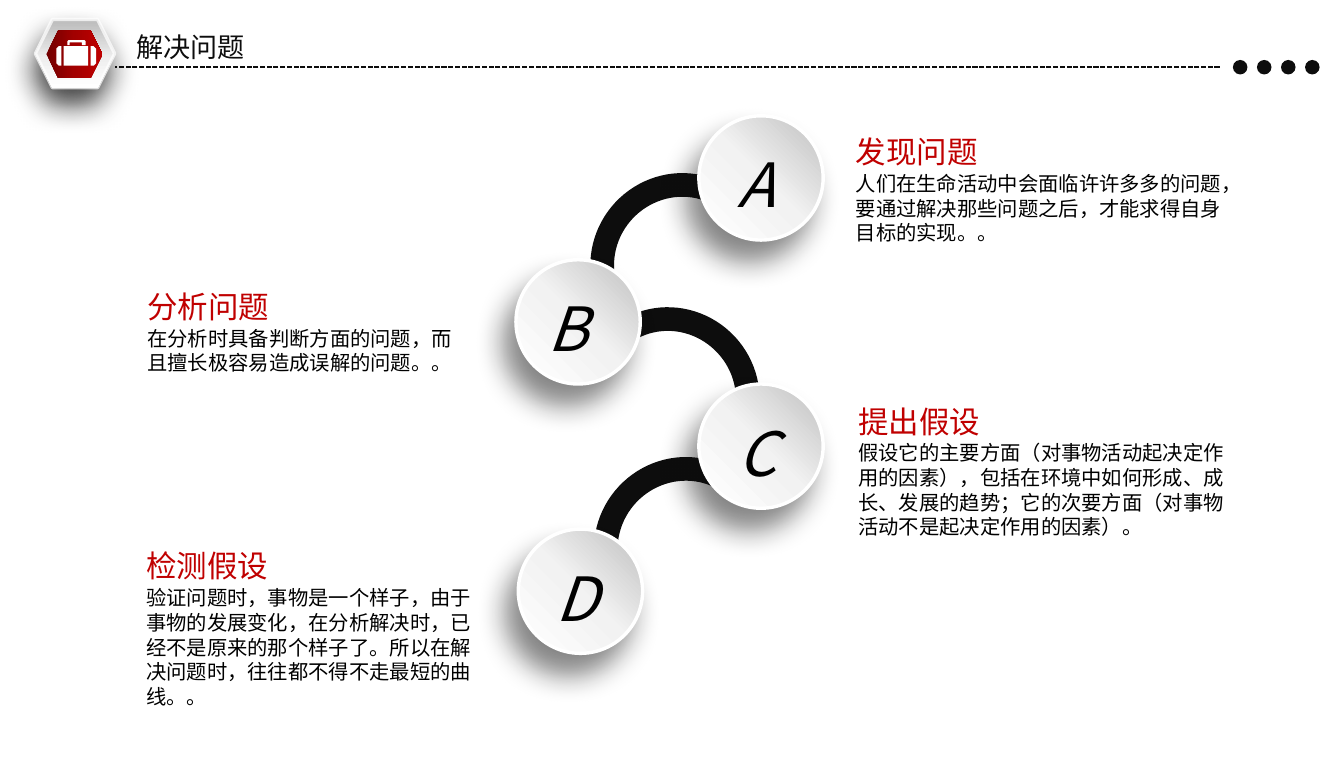
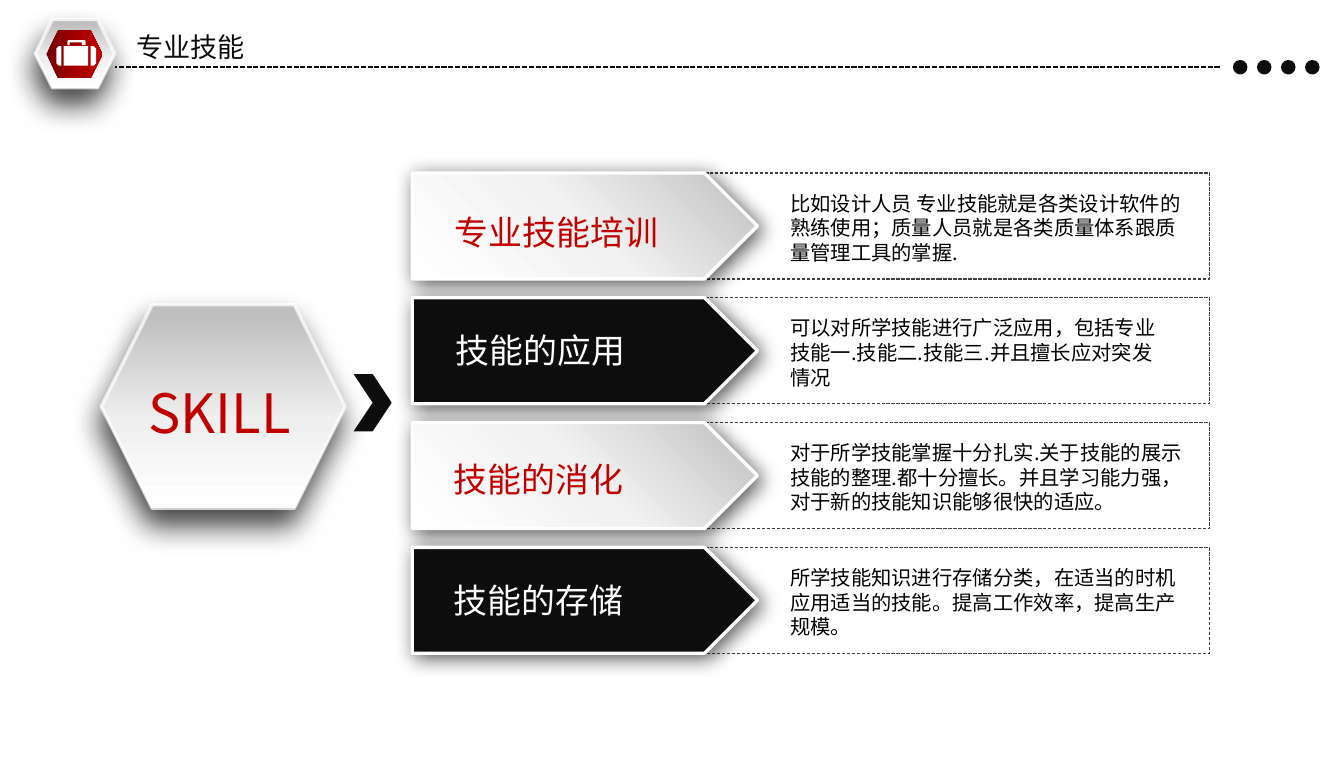
from copy import deepcopy
from pptx import Presentation
from pptx.dml.color import RGBColor as RGB
from pptx.enum.dml import MSO_LINE
from pptx.enum.shapes import MSO_CONNECTOR as LINK, MSO_SHAPE as KIND
from pptx.enum.text import MSO_ANCHOR as ANCHOR
from pptx.oxml.ns import qn
from pptx.oxml.xmlchemy import OxmlElement as new_tag
from pptx.util import Pt

COLORS = {
    "ink": "0D0D0D", "black": "000000", "white": "FFFFFF", "red": "C00000",
    "frame": "404040", "silver": "BFBFBF", "pearl": "F2F2F2",
    "mist": "EFEFEF", "maroon": "720000", "crimson": "A20000",
}
FONT = "Noto Sans CJK SC"
LINE_HEIGHT = 1.21
BASELINE_DROP = 0.08

# Gradients: angle (counterclockwise) and stops
SPHERE = (225, [(0, "silver"), (0.5, "pearl"), (1, "white")])
PLATE = (270, [(0.05, "silver"), (0.57, "mist"), (1, "white")])
RUBY = (0, [(0, "maroon"), (0.5, "crimson"), (1, "red")])

# Shadows: colour, opacity, blur, distance, direction
SPHERE_SHADOW = ("ink", 50, 17, 14, 120)
PLATE_SHADOW = ("ink", 76, 17, 10, 100)
ARROW_SHADOW = ("black", 63, 12, 3, 45)

# Text formats
TITLE = {"size": 16, "color": "ink"}
HEADING = {"size": 18, "color": "red"}
BODY = {"size": 12, "color": "black"}
LETTER = {"size": 36, "color": "black", "italic": True}
SKILL = {"size": 32, "color": "red"}

# Briefcase outlines, relative to its own corner
BRIEFCASE = [
    [(7.9, 2.9), (6.5, 2.9), (6.5, 0.7), (7.2, 0), (16.6, 0), (17.3, 0.7),
     (17.3, 2.9), (15.1, 2.9), (15.1, 1.4), (7.9, 1.4)],
    [(0, 5), (1.4, 3.6), (2.9, 3.6), (2.9, 15.1), (1.4, 15.1), (0, 13.7)],
    [(4.3, 3.6), (18.7, 3.6), (18.7, 15.1), (4.3, 15.1)],
    [(20.2, 3.6), (22, 3.6), (23.4, 5), (23.4, 13.7), (22, 15.1), (20.2, 15.1)],
]

# Circles: letter, left, top, left offset of the letter
CIRCLE = 73.4
STEPS = [("A", 412.6, 68.4, 16), ("B", 304.6, 153.4, 11.5),
         ("C", 412.6, 226.8, 16), ("D", 306, 312.5, 15)]

# Arcs: left, top, mirrored
ARCS = [(349.9, 270.7, False), (342, 182.2, True), (347.8, 103, False)]

SECTIONS = [
    (498.2, 73.4, "发现问题", [
        "人们在生命活动中会面临许许多多的问题，",
        "要通过解决那些问题之后，才能求得自身",
        "目标的实现。。"]),
    (79.9, 164.9, "分析问题", [
        "在分析时具备判断方面的问题，而",
        "且擅长极容易造成误解的问题。。"]),
    (499.7, 232.6, "提出假设", [
        "假设它的主要方面（对事物活动起决定作",
        "用的因素），包括在环境中如何形成、成",
        "长、发展的趋势；它的次要方面（对事物",
        "活动不是起决定作用的因素）。"]),
    (79.2, 318.2, "检测假设", [
        "验证问题时，事物是一个样子，由于",
        "事物的发展变化，在分析解决时，已",
        "经不是原来的那个样子了。所以在解",
        "决问题时，往往都不得不走最短的曲",
        "线。。"]),
]

# Rows: label, its left and top offsets, description
ROWS = [
    ("专业技能培训", 18, 17.3, [
        "比如设计人员 专业技能就是各类设计软件的",
        "熟练使用；质量人员就是各类质量体系跟质",
        "量管理工具的掌握."]),
    ("技能的应用", 18.7, 13.7, [
        "可以对所学技能进行广泛应用，包括专业",
        "技能一.技能二.技能三.并且擅长应对突发",
        "情况"]),
    ("技能的消化", 17.3, 15.8, [
        "对于所学技能掌握十分扎实.关于技能的展示",
        "技能的整理.都十分擅长。并且学习能力强，",
        "对于新的技能知识能够很快的适应。"]),
    ("技能的存储", 17.3, 13.7, [
        "所学技能知识进行存储分类，在适当的时机",
        "应用适当的技能。提高工作效率，提高生产",
        "规模。"]),
]


def rgb(name):
    return RGB.from_string(COLORS[name])


def paint(shape, fill):
    """Fill with a colour name, a gradient or nothing."""
    if fill is None:
        shape.fill.background()
    elif isinstance(fill, str):
        shape.fill.solid()
        shape.fill.fore_color.rgb = rgb(fill)
    else:
        angle, stops = fill
        shape.fill.gradient()
        shape.fill.gradient_angle = angle
        stop_list = shape.element.spPr.find(".//" + qn("a:gsLst"))
        stop_list.append(deepcopy(stop_list[0]))
        for stop, (position, color) in zip(shape.fill.gradient_stops, stops):
            stop.position = position
            stop.color.rgb = rgb(color)


def add_color_alpha(color_tag, percent):
    alpha = new_tag("a:alpha")
    alpha.set("val", str(percent * 1000))
    color_tag.append(alpha)


def outline(line, color, width, dash=None):
    line.color.rgb = rgb(color)
    line.width = Pt(width)
    if dash:
        line.dash_style = dash


def cast_shadow(shape, shadow):
    color, opacity, blur, distance, direction = shadow
    outer = new_tag("a:outerShdw")
    values = {"blurRad": Pt(blur), "dist": Pt(distance),
              "dir": direction * 60000, "algn": "ctr", "rotWithShape": 0}
    for key, value in values.items():
        outer.set(key, str(value))
    tint = new_tag("a:srgbClr")
    tint.set("val", COLORS[color])
    add_color_alpha(tint, opacity)
    outer.append(tint)
    shape.element.spPr.find(qn("a:effectLst")).append(outer)


def add_shape(page, kind, box, fill, line=None, shadow=None):
    shape = page.shapes.add_shape(kind, *map(Pt, box))
    shape.shadow.inherit = False
    paint(shape, fill)
    if line:
        outline(shape.line, *line)
    else:
        shape.line.fill.background()
    if shadow:
        cast_shadow(shape, shadow)
    return shape


def add_text(page, left, top, width, lines, style):
    size = style["size"]
    pitch = size * LINE_HEIGHT
    box = page.shapes.add_textbox(
        Pt(left), Pt(top), Pt(width), Pt(len(lines) * pitch + 7.2))
    frame = box.text_frame
    settings = {"word_wrap": True, "vertical_anchor": ANCHOR.TOP,
                "margin_left": Pt(7.2), "margin_right": Pt(0),
                "margin_top": Pt(3.6 + size * BASELINE_DROP), "margin_bottom": Pt(0)}
    for key, value in settings.items():
        setattr(frame, key, value)
    for index, line in enumerate(lines):
        para = frame.add_paragraph() if index else frame.paragraphs[0]
        para.line_spacing = Pt(pitch)
        span = para.add_run()
        span.text = line
        font = {"name": FONT, "size": Pt(size), "italic": style.get("italic", False)}
        for key, value in font.items():
            setattr(span.font, key, value)
        span.font.color.rgb = rgb(style["color"])
        east_asian = new_tag("a:ea")
        east_asian.set("typeface", FONT)
        span.font._element.find(qn("a:latin")).addnext(east_asian)


def add_plate(page, box):
    """Raised silver hexagon with a translucent rim."""
    plate = add_shape(page, KIND.HEXAGON, box, PLATE, ("white", 2), PLATE_SHADOW)
    add_color_alpha(plate.element.spPr.find(qn("a:ln")).find(".//" + qn("a:srgbClr")), 73)


def add_badge(page, left, top):
    add_plate(page, (left, top, 46.8, 40.3))
    add_shape(page, KIND.HEXAGON, (left + 6.5, top + 6.5, 33.1, 28.1), RUBY)
    # Briefcase
    builder = None
    for points in BRIEFCASE:
        (x, y), *rest = [(Pt(px), Pt(py)) for px, py in points]
        if builder is None:
            builder = page.shapes.build_freeform(x, y, scale=1.0)
        else:
            builder.move_to(x, y)
        builder.add_line_segments(rest, close=True)
    case = builder.convert_to_shape(Pt(left + 12.4), Pt(top + 12.2))
    case.shadow.inherit = False
    paint(case, "white")
    case.line.fill.background()


def add_header(page, title):
    # Dashed rule
    rule = page.shapes.add_connector(
        LINK.STRAIGHT, Pt(720), Pt(39.6), Pt(67.7), Pt(39.6))
    outline(rule.line, "ink", 1, MSO_LINE.SQUARE_DOT)
    rule.element.spPr.append(new_tag("a:effectLst"))
    add_text(page, 73.4, 13, 200, [title], TITLE)
    # Dots
    for index in range(4):
        add_shape(page, KIND.OVAL, (727.9 + 14.2 * index, 35.4, 8.6, 8.6), "ink")
    add_badge(page, 20.9, 11.5)


def add_arc(page, left, top, mirrored):
    arc = add_shape(page, KIND.BLOCK_ARC, (left, top, 107.3, 104.4), "ink")
    for index, value in enumerate((108, 1.726, 0.134)):
        arc.adjustments[index] = value
    arc.rotation = 46.8 if mirrored else 313.2
    if mirrored:
        arc.element.spPr.find(qn("a:xfrm")).set("flipH", "1")


def add_section(page, left, top, heading, lines):
    add_text(page, left, top + 23, 260, lines, BODY)
    add_text(page, left, top, 120, [heading], HEADING)


def add_row(page, left, top, dark, label, label_left, label_top, lines):
    fill, color = ("ink", "white") if dark else (SPHERE, "red")
    add_shape(page, KIND.PENTAGON, (left, top, 203.8, 62.6), fill,
              ("white", 2), ARROW_SHADOW)
    add_text(page, left + label_left, top + label_top, 160, [label],
             {"size": 20, "color": color})
    add_text(page, left + 216, top + 5.8, 290, lines, BODY)


def build_problem_page(page):
    for arc in ARCS:
        add_arc(page, *arc)
    add_header(page, "解决问题")
    for letter, left, top, indent in STEPS:
        add_shape(page, KIND.OVAL, (left, top, CIRCLE, CIRCLE), SPHERE,
                  ("white", 2), SPHERE_SHADOW)
        add_text(page, left + indent, top + 11.5, 50, [letter], LETTER)
    for section in SECTIONS:
        add_section(page, *section)


def build_skill_page(page):
    tops = [102.2 + 73.7 * index for index in range(len(ROWS))]
    # Dashed frames behind the arrows
    for top in tops:
        add_shape(page, KIND.RECTANGLE, (396, top, 318.2, 62.6), None,
                  ("frame", 0.75, MSO_LINE.SQUARE_DOT))
    add_header(page, "专业技能")
    # Hexagon and chevron
    add_shape(page, KIND.CHEVRON, (208.8, 221, 22.5, 33.8), "ink")
    add_plate(page, (59.8, 180, 144, 120.2))
    add_text(page, 80.6, 217.4, 115, ["SKILL"], SKILL)
    for index, (top, row) in enumerate(zip(tops, ROWS)):
        add_row(page, 243.4, top, index % 2 == 1, *row)


def main():
    deck = Presentation()
    deck.slide_width, deck.slide_height = Pt(793.5), Pt(453.6)
    for build in (build_problem_page, build_skill_page):
        build(deck.slides.add_slide(deck.slide_layouts[6]))
    deck.save("out.pptx")


if __name__ == "__main__":
    main()
